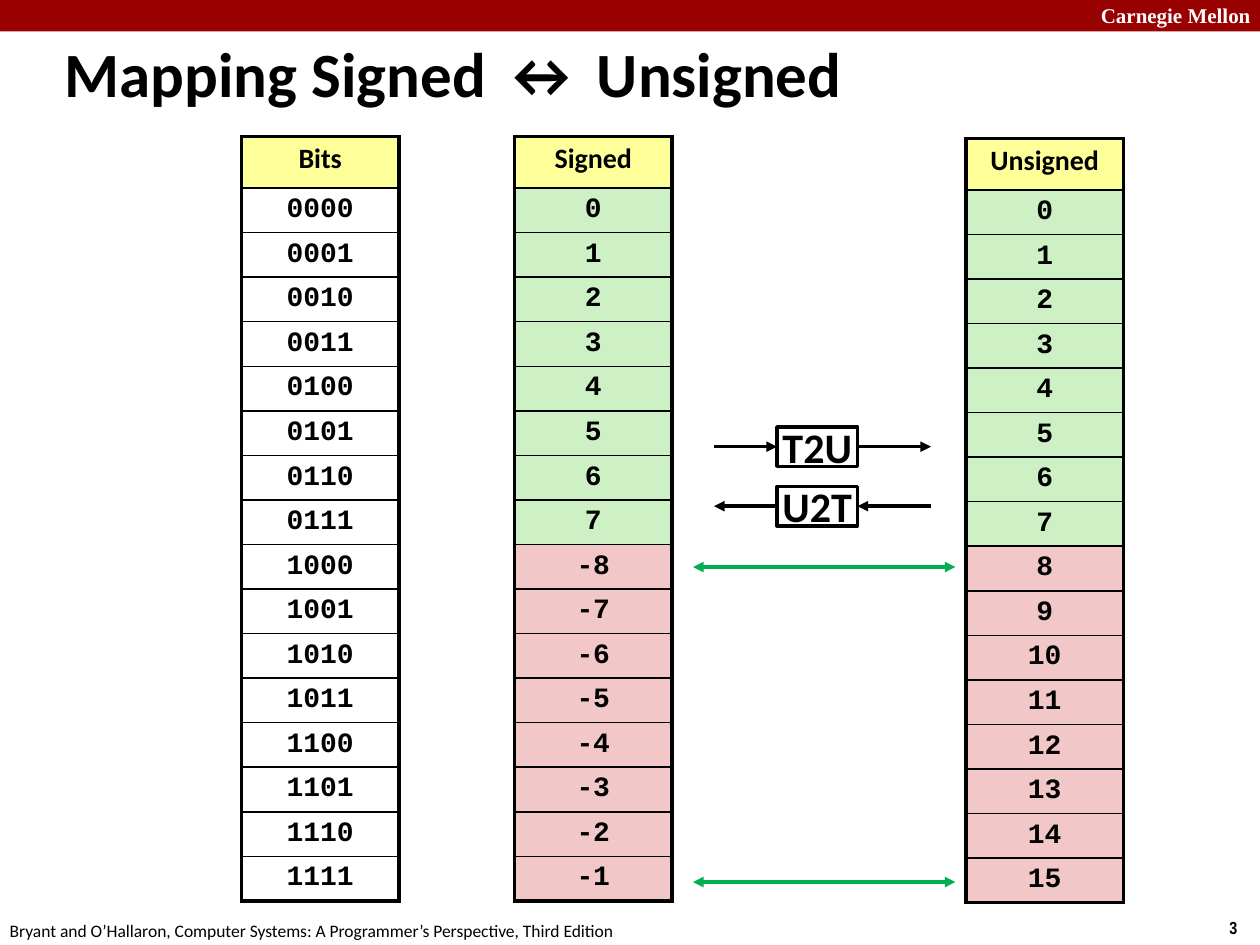
from pptx import Presentation
from pptx.dml.color import RGBColor
from pptx.enum.shapes import MSO_CONNECTOR as Conn, MSO_SHAPE as Shape
from pptx.enum.text import MSO_ANCHOR as Anchor, MSO_AUTO_SIZE as Auto, PP_ALIGN as Align
from pptx.oxml.ns import qn
from pptx.util import Pt
from lxml.etree import SubElement as Sub

HUES = {"ink": "000000", "paper": "FFFFFF", "bar": "990000", "head": "FFFF99",
        "low": "CDF1C5", "high": "F1C7C7", "link": "00B050"}
LEFT, RIGHT = 1, 3
HEAD, ROW = 29.5, 25.46


def hue(name):
    return RGBColor.from_string(HUES[name])


def write(frame, text, size=16, font="Calibri", color="ink", bold=True,
          align=Align.LEFT, anchor=Anchor.TOP, wrap=False, space=None):
    frame.word_wrap = wrap
    frame.vertical_anchor = anchor
    par = frame.paragraphs[0]
    par.alignment = align
    par.line_spacing = space
    par.space_before = Pt(0)
    run = par.add_run()
    run.text = text
    run.font.size, run.font.name, run.font.bold = Pt(size), font, bold
    run.font.color.rgb = hue(color)


def label(slide, box, text, **look):
    note = slide.shapes.add_textbox(*map(Pt, box))
    write(note.text_frame, text, **look)


def rect(slide, box, fill, line=None):
    item = slide.shapes.add_shape(Shape.RECTANGLE, *map(Pt, box))
    item.shadow.inherit = False
    item.fill.solid()
    item.fill.fore_color.rgb = hue(fill)
    if line:
        item.line.color.rgb = hue(line)
        item.line.width = Pt(2)
    else:
        item.line.fill.background()
    return item


def arrow(slide, x1, x2, y, color="ink", both=False):
    """Draw a level arrow that points at x2, or at both ends."""
    item = slide.shapes.add_connector(Conn.STRAIGHT, Pt(x1), Pt(y), Pt(x2), Pt(y))
    item.line.color.rgb = hue(color)
    item.line.width = Pt(2)
    line = item.line._get_or_add_ln()
    for end in ("a:headEnd", "a:tailEnd") if both else ("a:tailEnd",):
        Sub(line, qn(end), type="triangle")
    Sub(item._element.spPr, qn("a:effectLst"))
    return item


def edge(cell, sides):
    """Give a cell its borders, from a dict of side to width in points."""
    props = cell._tc.get_or_add_tcPr()
    for side, width in sides.items():
        line = Sub(props, qn(f"a:ln{side}"), w=str(Pt(width)))
        fill = Sub(line, qn("a:solidFill"))
        Sub(fill, qn("a:srgbClr"), val=HUES["ink"])


def column(slide, box, title, values, fills):
    left, top, width = box
    high = HEAD + ROW * len(values)
    table = slide.shapes.add_table(len(values) + 1, 1, *map(Pt, (left, top, width, high))).table
    table.first_row = table.horz_banding = False
    rows = [(title, "head"), *zip(values, fills)]
    for i, (text, fill) in enumerate(rows):
        table.rows[i].height = Pt(ROW if i else HEAD)
        cell = table.cell(i, 0)
        cell.margin_left = cell.margin_right = Pt(3.6)
        cell.margin_top = cell.margin_bottom = Pt(3.6)
        edge(cell, {"L": 2.25, "R": 2.25, "T": 1 if i else 2.25,
                    "B": 2.25 if i == len(values) else 1})
        if fill:
            cell.fill.solid()
            cell.fill.fore_color.rgb = hue(fill)
        else:
            cell.fill.background()
        write(cell.text_frame, text, font="Courier New" if i else "Calibri",
              align=Align.CENTER, wrap=True, space=0.95)


def convert(slide, box, name, onward):
    """Draw a named step with an arrow in and an arrow out."""
    left, top, width, high = box
    step = rect(slide, box, "paper", "ink")
    write(step.text_frame, name, size=24, align=Align.CENTER, anchor=Anchor.MIDDLE)
    mid = top + high / 2
    west, east = left - 36, left + width + 42
    start, stop = (west, east) if onward else (east, west)
    near, far = (LEFT, RIGHT) if onward else (RIGHT, LEFT)
    arrow(slide, start, left, mid).end_connect(step, near)
    arrow(slide, left, stop, mid).begin_connect(step, far)


def frame(slide):
    """Place the top bar, the page number and the credit line."""
    rect(slide, (0, 0, 720, 18), "bar")
    label(slide, (622, -2, 103, 21.6), "Carnegie Mellon", size=12,
          font="Times New Roman", color="paper", wrap=True)
    label(slide, (695.5, 520.5, 24.5, 19.5), "3", size=10, font="Arial Narrow")
    label(slide, (-1.5, 522, 366, 19.5),
          "Bryant and O’Hallaron, Computer Systems: A Programmer’s Perspective, Third Edition",
          size=10, bold=False)


def heading(slide, box, text):
    title = slide.shapes.title
    title.left, title.top, title.width, title.height = map(Pt, box)
    area = title.text_frame
    area.auto_size = Auto.NONE
    area.margin_left = area.margin_right = Pt(5)
    area.margin_top = area.margin_bottom = Pt(2)
    write(area, text, size=36, anchor=Anchor.MIDDLE)


def mapping(slide):
    tint = ["low"] * 8 + ["high"] * 8
    signed = [*range(8), *range(-8, 0)]
    column(slide, (294, 78, 90), "Signed", [str(n) for n in signed], tint)
    column(slide, (552, 79, 90), "Unsigned", [str(n) for n in range(16)], tint)
    column(slide, (138, 78, 90), "Bits", [f"{n:04b}" for n in range(16)], [None] * 16)
    convert(slide, (444, 278, 46, 22.5), "U2T", False)
    convert(slide, (444, 244, 46, 22.5), "T2U", True)
    for y in (504, 324):
        arrow(slide, 396, 546, y, "link", both=True)


def main():
    deck = Presentation()
    deck.slide_width, deck.slide_height = Pt(720), Pt(540)
    slide = deck.slides.add_slide(deck.slide_layouts[5])
    frame(slide)
    heading(slide, (32, 19.5, 537, 44), "Mapping Signed ↔ Unsigned")
    mapping(slide)
    deck.save("out.pptx")


if __name__ == "__main__":
    main()
